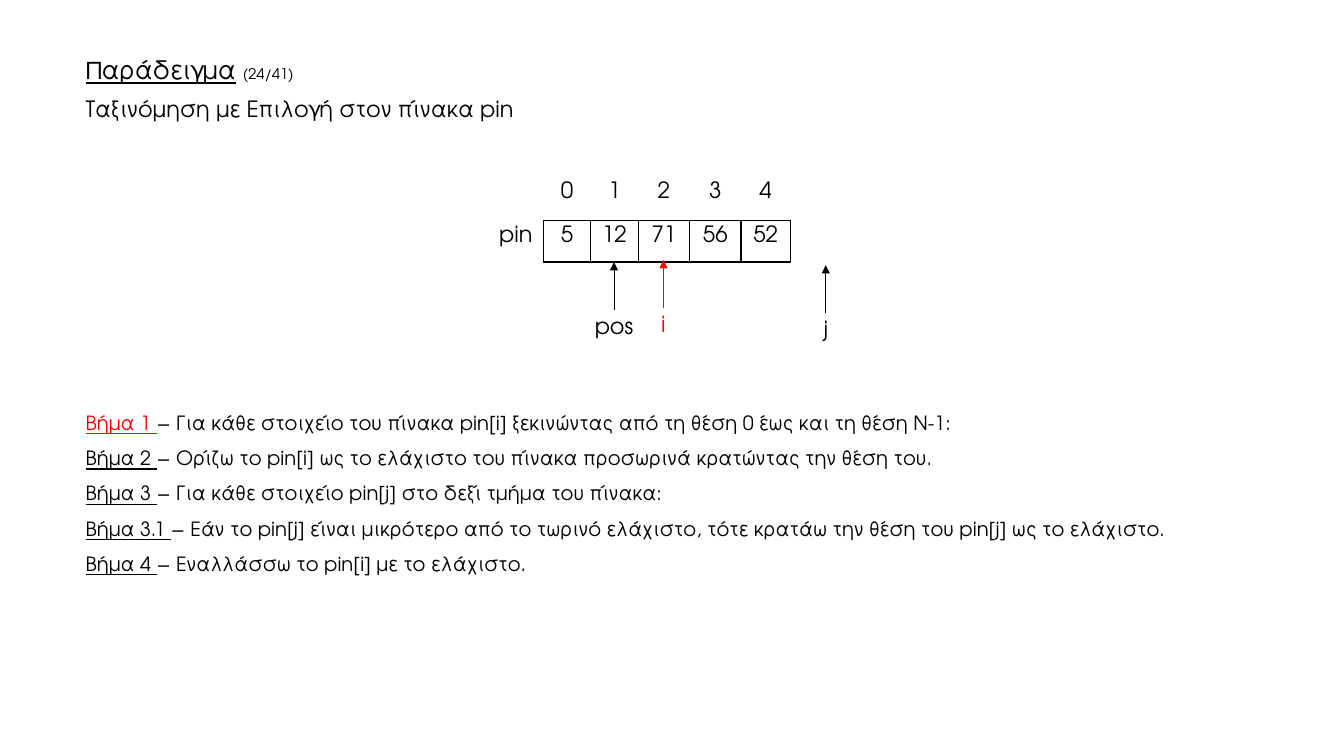
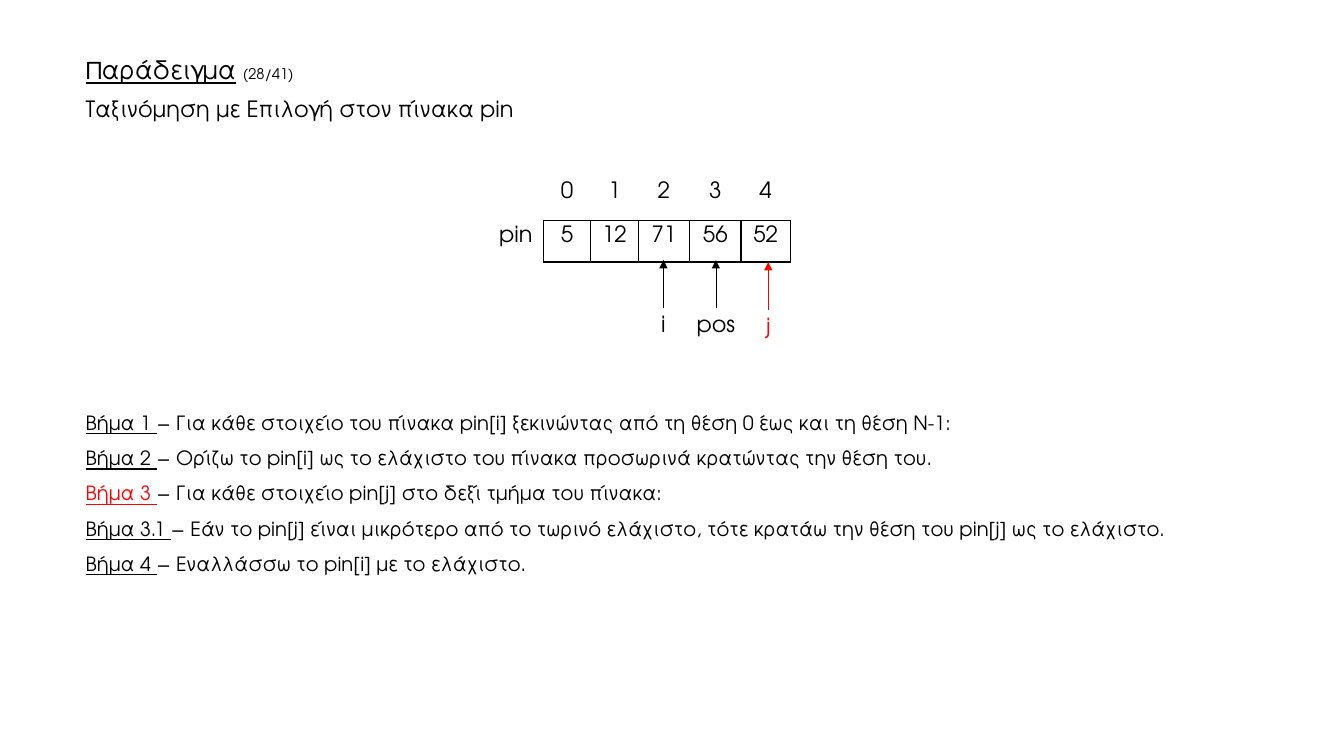
from dataclasses import dataclass
from typing import NamedTuple

from lxml import etree
from pptx import Presentation
from pptx.dml.color import RGBColor
from pptx.enum.shapes import MSO_CONNECTOR
from pptx.enum.text import PP_ALIGN
from pptx.oxml.ns import qn
from pptx.util import Inches, Pt

CENTER = PP_ALIGN.CENTER
LEFT = PP_ALIGN.LEFT
STRAIGHT = MSO_CONNECTOR.STRAIGHT


@dataclass(frozen=True)
class Theme:
    face: str = "TeX Gyre Adventor"
    ink: str = "000000"
    mark: str = "FF0000"
    title: float = 18
    count: float = 10.5
    body: float = 16
    step: float = 14
    edge: float = 1
    arrow: float = 0.5


class Run(NamedTuple):
    text: str
    size: float
    color: str
    under: bool = False


class Para(NamedTuple):
    runs: list[Run]
    align: int = LEFT
    lead: float = 0.9
    above: float = 0


class Step(NamedTuple):
    name: str
    text: str


class Pointer(NamedTuple):
    name: str
    x: float
    y: float
    width: float
    color: str


class Page(NamedTuple):
    count: str
    step: str
    marks: list[Pointer]


THEME = Theme()
SHAFT = 0.48
COLS = [0.55, 0.47, 0.47, 0.51, 0.51, 0.49]
ROWS = [0.43, 0.41]
CELLS = [["", "0", "1", "2", "3", "4"], ["pin", "5", "12", "71", "56", "52"]]
SIDES = "LRTB"
STEPS = [
    Step("1", "Για κάθε στοιχείο του πίνακα pin[i] ξεκινώντας από τη θέση 0 έως και τη θέση Ν-1:"),
    Step("2", "Ορίζω το pin[i] ως το ελάχιστο του πίνακα προσωρινά κρατώντας την θέση του."),
    Step("3", "Για κάθε στοιχείο pin[j] στο δεξί τμήμα του πίνακα:"),
    Step("3.1", "Εάν το pin[j] είναι μικρότερο από το τωρινό ελάχιστο, "
         "τότε κρατάω την θέση του pin[j] ως το ελάχιστο."),
    Step("4", "Εναλλάσσω το pin[i] με το ελάχιστο."),
]
PAGES = [
    Page("(24/41)", "1", [
        Pointer("i", 6.58, 3.06, 0.24, THEME.mark),
        Pointer("pos", 6.09, 3.08, 0.98, THEME.ink),
        Pointer("j", 8.19, 3.11, 0.24, THEME.ink),
    ]),
    Page("(28/41)", "3", [
        Pointer("i", 6.58, 3.06, 0.24, THEME.ink),
        Pointer("pos", 7.1, 3.06, 0.98, THEME.ink),
        Pointer("j", 7.62, 3.08, 0.24, THEME.mark),
    ]),
]


def add_run(para, run: Run) -> None:
    piece = para.add_run()
    piece.text = run.text
    looks = {"name": THEME.face, "size": Pt(run.size), "underline": run.under}
    for key, value in looks.items():
        setattr(piece.font, key, value)
    piece.font.color.rgb = RGBColor.from_string(run.color)


def fill_text(frame, paras: list[Para]) -> None:
    for i, item in enumerate(paras):
        para = frame.add_paragraph() if i else frame.paragraphs[0]
        looks = {"alignment": item.align, "line_spacing": item.lead,
                 "space_before": Pt(item.above)}
        for key, value in looks.items():
            setattr(para, key, value)
        for run in item.runs:
            add_run(para, run)


def add_text(slide, x: float, y: float, w: float, h: float, paras: list[Para]) -> None:
    box = slide.shapes.add_textbox(Inches(x), Inches(y), Inches(w), Inches(h))
    box.text_frame.word_wrap = True
    fill_text(box.text_frame, paras)


def set_edges(cell, shown: str) -> None:
    props = cell._tc.get_or_add_tcPr()
    for i, side in enumerate(SIDES):
        line = etree.Element(qn(f"a:ln{side}"), w=str(Pt(THEME.edge)))
        if side in shown:
            fill = etree.SubElement(line, qn("a:solidFill"))
            etree.SubElement(fill, qn("a:srgbClr"), val=THEME.ink)
        else:
            etree.SubElement(line, qn("a:noFill"))
        props.insert(i, line)


def pick_edges(row: int, col: int) -> str:
    if row == 0:
        return "B" if col else ""
    return SIDES if col else "R"


def add_array(slide) -> None:
    frame = slide.shapes.add_table(len(ROWS), len(COLS), Inches(4.84), Inches(1.76),
                                   Inches(sum(COLS)), Inches(sum(ROWS)))
    table = frame.table
    table.first_row = table.horz_banding = False
    for col, width in zip(table.columns, COLS):
        col.width = Inches(width)
    for row, height in zip(table.rows, ROWS):
        row.height = Inches(height)
    for r, line in enumerate(CELLS):
        for c, text in enumerate(line):
            cell = table.cell(r, c)
            cell.fill.background()
            set_edges(cell, pick_edges(r, c))
            if text:
                run = Run(text, THEME.body, THEME.ink)
                fill_text(cell.text_frame, [Para([run], CENTER, 1.0)])


def add_mark(slide, mark: Pointer) -> None:
    run = Run(mark.name, THEME.body, mark.color)
    add_text(slide, mark.x - mark.width / 2, mark.y, mark.width, 0.36,
             [Para([run], CENTER)])
    arrow = slide.shapes.add_connector(STRAIGHT, Inches(mark.x), Inches(mark.y),
                                       Inches(mark.x), Inches(mark.y - SHAFT))
    arrow.line.width = Pt(THEME.arrow)
    arrow.line.color.rgb = RGBColor.from_string(mark.color)
    etree.SubElement(arrow.line._get_or_add_ln(), qn("a:tailEnd"), type="triangle")
    etree.SubElement(arrow._element.spPr, qn("a:effectLst"))


def add_steps(slide, active: str) -> None:
    paras = []
    for step in STEPS:
        color = THEME.mark if step.name == active else THEME.ink
        paras.append(Para([
            Run(f"Βήμα {step.name} ", THEME.step, color, True),
            Run(f"− {step.text}", THEME.step, THEME.ink),
        ], lead=1.5))
    add_text(slide, 0.75, 3.91, 11.53, 1.82, paras)


def add_title(slide, count: str) -> None:
    add_text(slide, 0.75, 0.52, 10.79, 0.77, [
        Para([Run("Παράδειγμα", THEME.title, THEME.ink, True),
              Run(" ", THEME.title, THEME.ink),
              Run(count, THEME.count, THEME.ink)]),
        Para([Run("Ταξινόμηση με Επιλογή στον πίνακα pin", THEME.body, THEME.ink)],
             above=10),
    ])


def main() -> None:
    deck = Presentation()
    deck.slide_width, deck.slide_height = Inches(13.33), Inches(7.5)
    for page in PAGES:
        slide = deck.slides.add_slide(deck.slide_layouts[6])
        add_steps(slide, page.step)
        add_title(slide, page.count)
        add_array(slide)
        for mark in page.marks:
            add_mark(slide, mark)
    deck.save("out.pptx")


if __name__ == "__main__":
    main()
